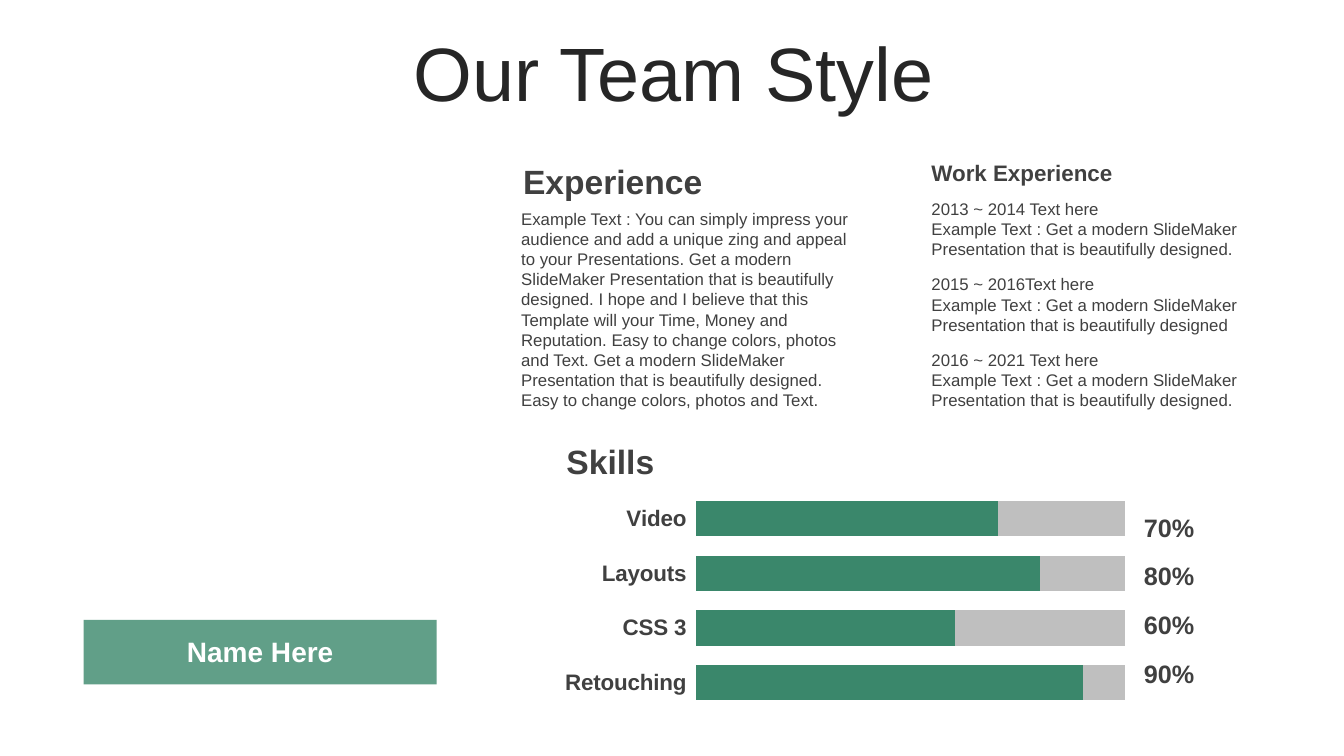
import pptx
import pptx.chart.data
import pptx.dml.color
import pptx.enum.chart
import pptx.enum.shapes
import pptx.enum.text
import pptx.oxml
import pptx.oxml.ns
import pptx.util

SLIDE_W, SLIDE_H = pptx.util.Inches(13.33), pptx.util.Inches(7.5)
FONT = "Arial"
GREEN, GRAY, DARK = "3A876B", "BFBFBF", "404040"
ALIGN = pptx.enum.text.PP_ALIGN
ANCHOR = pptx.enum.text.MSO_ANCHOR
AUTO_SIZE = pptx.enum.text.MSO_AUTO_SIZE

MIDDLE_X, RIGHT_X, COLUMN_W = 38.18, 68.57, 26.11
HEADING_H = 6.67
BADGE_X, BADGE_W = 6.23, 26.26
JOB_Y, JOB_STEP, JOB_H = 25.6, 10, 9.47
PERCENT_Y, PERCENT_STEP = 67.07, 6.44

EXPERIENCE = (
    "Example Text : You can simply impress your audience and add a unique zing "
    "and appeal to your Presentations. Get a modern SlideMaker Presentation that "
    "is beautifully designed. I hope and I believe that this Template will your "
    "Time, Money and Reputation. Easy to change colors, photos and Text. Get a "
    "modern SlideMaker Presentation that is beautifully designed. Easy to change "
    "colors, photos and Text."
)
JOB_TEXT = "Example Text : Get a modern SlideMaker Presentation that is beautifully designed"
JOBS = [
    ("2013 ~ 2014 Text here", JOB_TEXT + "."),
    ("2015 ~ 2016Text here", JOB_TEXT),
    ("2016 ~ 2021 Text here", JOB_TEXT + "."),
]
SKILLS = ["Retouching", "CSS 3", "Layouts", "Video"]
SKILL_SERIES = [
    ("Series 1", [100, 67, 89, 78], GREEN),
    ("Series 2", [11, 44, 22, 33], GRAY),
]
PERCENTS = ["70%", "80%", "60%", "90%"]


def rgb(color):
    return pptx.dml.color.RGBColor.from_string(color)


def place(x, y, w, h):
    """Turn percentages of the slide's width and height into lengths."""
    return (int(SLIDE_W * x / 100), int(SLIDE_H * y / 100),
            int(SLIDE_W * w / 100), int(SLIDE_H * h / 100))


def set_font(font, size, color, bold=False):
    font.name = FONT
    font.size = pptx.util.Pt(size)
    font.bold = bold
    font.color.rgb = rgb(color)


def add_text(slide, box, lines, size, color=DARK, bold=False,
             align=ALIGN.LEFT, anchor=ANCHOR.TOP, inset=0.1):
    tf = slide.shapes.add_textbox(*place(*box)).text_frame
    tf.word_wrap = True
    tf.auto_size = AUTO_SIZE.SHAPE_TO_FIT_TEXT if anchor == ANCHOR.TOP else AUTO_SIZE.NONE
    tf.vertical_anchor = anchor
    tf.margin_left = tf.margin_right = pptx.util.Inches(inset)
    tf.text = "\n".join(lines)
    for p in tf.paragraphs:
        p.alignment = align
        set_font(p.font, size, color, bold)


def set_title(slide, text):
    sp = slide.shapes.title
    sp.left, sp.top, sp.width, sp.height = place(2.63, 4.93, 94.97, 10.53)
    tf = sp.text_frame
    tf.text = text
    tf.word_wrap = True
    tf.auto_size = AUTO_SIZE.NONE
    tf.vertical_anchor = ANCHOR.MIDDLE
    p = tf.paragraphs[0]
    p.alignment = ALIGN.CENTER
    p.line_spacing = 0.9
    set_font(p.font, 54, "262626")


def add_panel(slide, box, color, opacity):
    sp = slide.shapes.add_shape(pptx.enum.shapes.MSO_SHAPE.RECTANGLE, *place(*box))
    sp.shadow.inherit = False
    sp.line.fill.background()
    sp.fill.solid()
    sp.fill.fore_color.rgb = rgb(color)
    srgb = sp.fill._xPr.find(".//" + pptx.oxml.ns.qn("a:srgbClr"))
    alpha = pptx.oxml.parse_xml(
        f'<a:alpha {pptx.oxml.ns.nsdecls("a")} val="{opacity * 1000}"/>')
    srgb.append(alpha)


def set_plot_area(chart, x, y, w, h):
    layout = pptx.oxml.parse_xml(
        f'<c:layout {pptx.oxml.ns.nsdecls("c")}><c:manualLayout>'
        '<c:layoutTarget val="inner"/><c:xMode val="edge"/><c:yMode val="edge"/>'
        f'<c:x val="{x}"/><c:y val="{y}"/><c:w val="{w}"/><c:h val="{h}"/>'
        '</c:manualLayout></c:layout>')
    plot_area = chart._chartSpace.chart.plotArea
    for old in plot_area.findall(pptx.oxml.ns.qn("c:layout")):
        plot_area.remove(old)
    plot_area.insert(0, layout)


def add_skill_chart(slide, box):
    data = pptx.chart.data.CategoryChartData()
    data.categories = SKILLS
    for name, values, _ in SKILL_SERIES:
        data.add_series(name, values)
    chart = slide.shapes.add_chart(
        pptx.enum.chart.XL_CHART_TYPE.BAR_STACKED, *place(*box), data).chart
    chart.has_legend = False
    chart.has_title = False
    set_font(chart.font, 18, "000000")
    plot = chart.plots[0]
    plot.gap_width, plot.overlap = 54, 100
    plot.vary_by_categories = False
    for series, (_, _, color) in zip(plot.series, SKILL_SERIES):
        series.format.fill.solid()
        series.format.fill.fore_color.rgb = rgb(color)
    axis = chart.category_axis
    axis.format.line.fill.background()
    set_font(axis.tick_labels.font, 16, DARK, True)
    values = chart.value_axis
    values.visible = False
    values.has_major_gridlines = False
    values.minimum_scale, values.maximum_scale = 0, 111
    set_plot_area(chart, 0.21, 0.02, 0.64, 0.96)


def main():
    prs = pptx.Presentation()
    prs.slide_width, prs.slide_height = SLIDE_W, SLIDE_H
    slide = prs.slides.add_slide(prs.slide_layouts.get_by_name("Title Only"))
    set_title(slide, "Our Team Style")

    add_text(slide, (MIDDLE_X, 26.93, COLUMN_W, 28.27), [EXPERIENCE], 12, inset=0.08)
    add_text(slide, (MIDDLE_X, 20.67, COLUMN_W, HEADING_H), ["Experience"], 24, bold=True)

    add_panel(slide, (BADGE_X, 82, BADGE_W, 8.53), GREEN, 80)
    add_text(slide, (BADGE_X, 83.33, BADGE_W, 5.87), ["Name Here"], 20,
             "FFFFFF", True, ALIGN.CENTER)

    add_skill_chart(slide, (41.34, 64.4, 49.89, 30.13))
    add_text(slide, (41.41, 57.6, 24.76, HEADING_H), ["Skills"], 24, bold=True)
    for i, percent in enumerate(PERCENTS):
        add_text(slide, (84.32, PERCENT_Y + i * PERCENT_STEP, 5.33, 5.33),
                 [percent], 18, bold=True, align=ALIGN.CENTER)

    add_text(slide, (RIGHT_X, 20.8, COLUMN_W, 4.13), ["Work Experience"], 16,
             bold=True, anchor=ANCHOR.MIDDLE)
    for i, job in enumerate(JOBS):
        add_text(slide, (RIGHT_X, JOB_Y + i * JOB_STEP, COLUMN_W, JOB_H), job, 12)

    prs.save("out.pptx")


if __name__ == "__main__":
    main()
